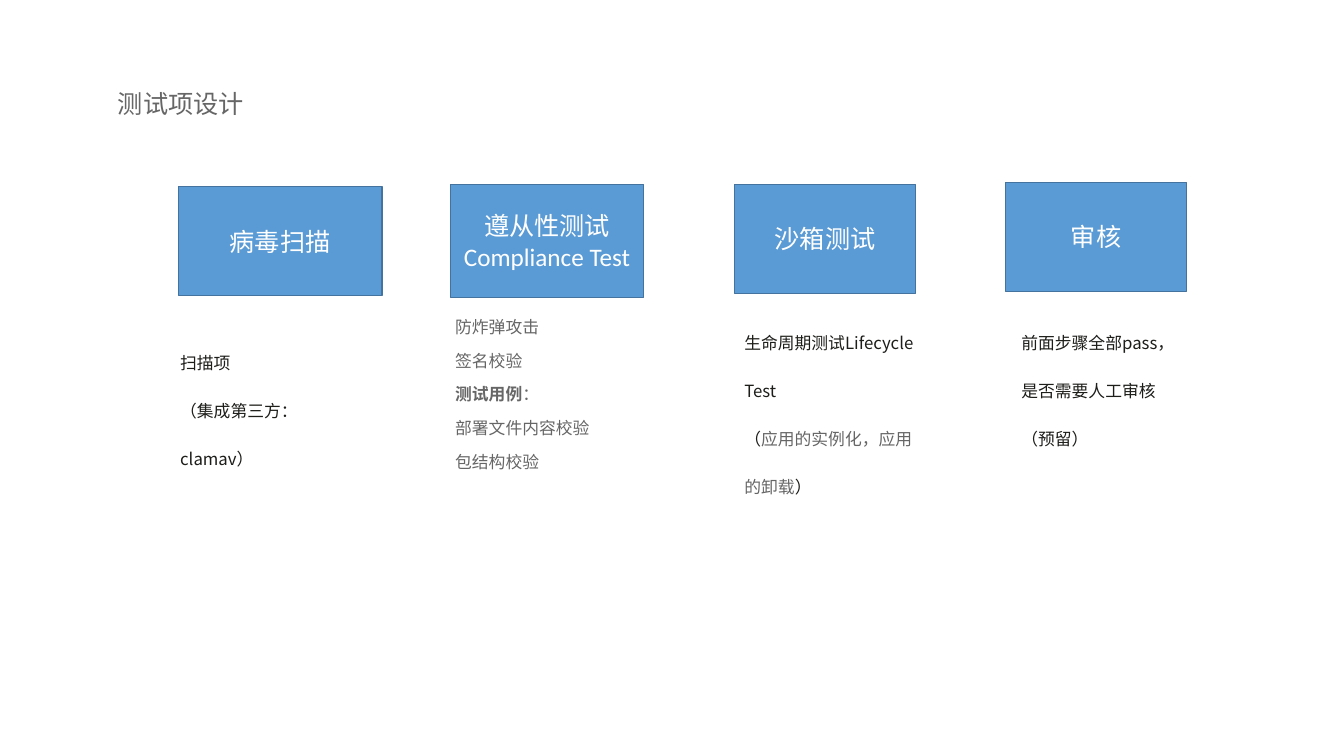
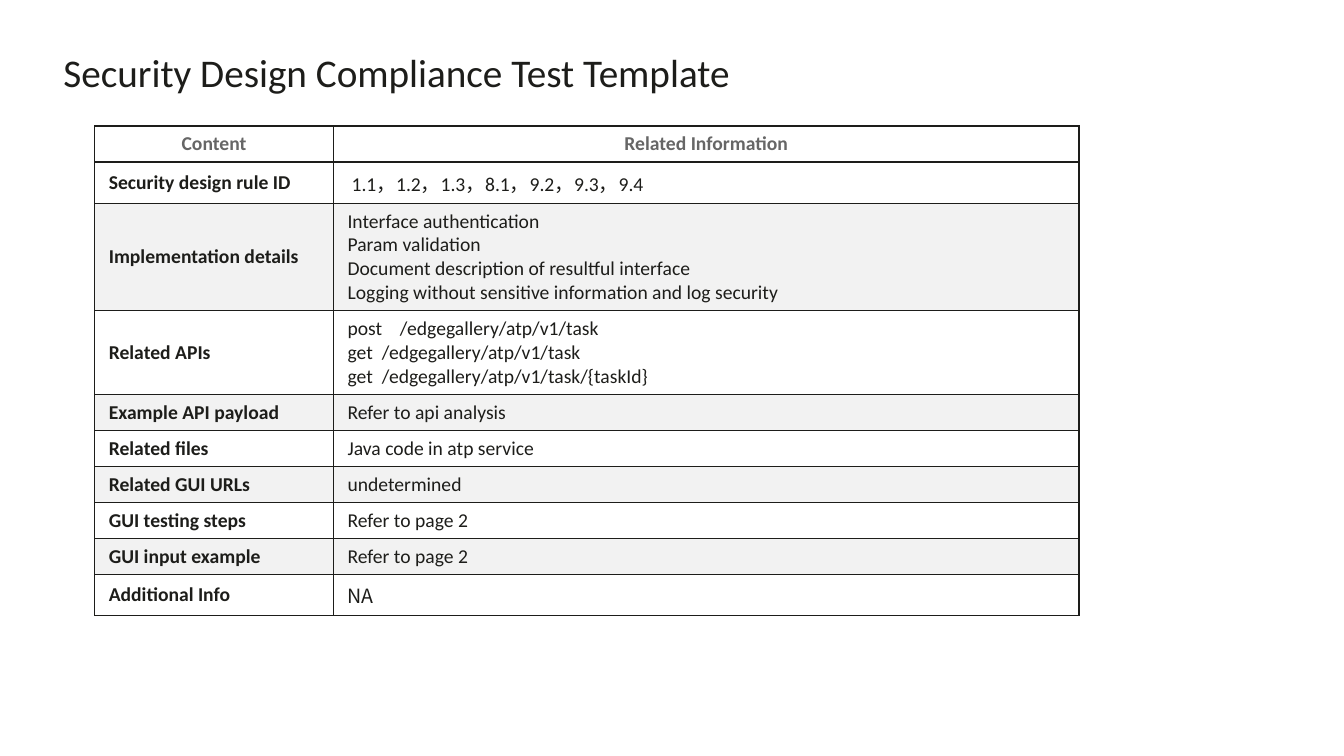
from lxml.etree import SubElement
from pptx import Presentation
from pptx.dml.color import RGBColor
from pptx.enum.shapes import MSO_SHAPE as Shape
from pptx.enum.text import MSO_ANCHOR as Anchor, MSO_AUTO_SIZE as AutoSize, PP_ALIGN as Align
from pptx.oxml.ns import qn
from pptx.util import Inches, Pt

COLORS = {"ink": "1D1D1A", "gray": "666666", "white": "FFFFFF",
          "blue": "5B9BD5", "blue_edge": "43739E", "band": "F2F2F2"}
LATIN, CJK = "Calibri", "Noto Sans CJK SC"
WIDTH, HEIGHT = 13.34, 7.5

# Content: each stage has a box and a list of paragraphs, made of (text, colour, bold) runs
STAGES = [
    {"name": "病毒扫描", "box": (1.77, 1.85, 2.02, 1.08), "detail": (1.69, 3.17, 2.09, 1.53),
     "leading": 34.4, "lines": [[("扫描项", "ink", False)],
                                [("（集成第三方：clamav）", "ink", False)]]},
    {"name": "遵从性测试Compliance Test", "box": (4.47, 1.83, 1.92, 1.12),
     "detail": (4.42, 2.96, 1.97, 1.78), "leading": 24,
     "lines": [[("防炸弹攻击", "gray", False)],
               [("签名校验", "gray", False)],
               [("测试用例", "gray", True), ("：", "gray", False)],
               [("部署文件内容校验", "gray", False)],
               [("包结构校验", "gray", False)]]},
    {"name": "沙箱测试", "box": (7.29, 1.83, 1.8, 1.08), "detail": (7.29, 2.97, 1.92, 2.01),
     "leading": 34.4, "lines": [[("生命周期测试Lifecycle Test", "ink", False)],
                                [("（", "ink", False), ("应用的实例化，应用的卸载", "gray", False),
                                 ("）", "ink", False)]]},
    {"name": "审核", "box": (9.98, 1.81, 1.8, 1.08), "detail": (10.04, 2.97, 1.74, 1.53),
     "leading": 34.4, "lines": [[("前面步骤全部pass，是否需要人工审核（预留）", "ink", False)]]},
]

TEMPLATE_ROWS = [
    ("Content", ["Related Information"]),
    ("Security design rule ID", ["1.1，1.2，1.3，8.1，9.2，9.3，9.4"]),
    ("Implementation details", ["Interface authentication", "Param validation",
                                "Document description of resultful interface",
                                "Logging without sensitive information and log security"]),
    ("Related APIs", [("post", "/edgegallery/atp/v1/task"),
                      ("get", "/edgegallery/atp/v1/task"),
                      ("get", "/edgegallery/atp/v1/task/{taskId}")]),
    ("Example API payload", ["Refer to api analysis"]),
    ("Related files", ["Java code in atp service"]),
    ("Related GUI URLs", ["undetermined"]),
    ("GUI testing steps", ["Refer to page 2"]),
    ("GUI input example", ["Refer to page 2"]),
    ("Additional Info", ["NA"]),
]
TABLE_AT, COLUMNS = (0.94, 1.25), (2.37, 7.4)
LINE_HEIGHT, ROW_PADDING, TALL_ROW = 0.237, 0.12, 0.41
TALL_ROWS = ("Security design rule ID", "Additional Info")
API_TABS = {"post": 0.52, "get": 0.34}


def rgb(name):
    return RGBColor.from_string(COLORS[name])


def inches(values):
    return [Inches(value) for value in values]


def add_run(paragraph, text, color, size, face=LATIN, bold=False):
    run = paragraph.add_run()
    run.text = text
    for key, value in {"name": face, "size": Pt(size), "bold": bold}.items():
        setattr(run.font, key, value)
    run.font.color.rgb = rgb(color)
    SubElement(run.font._element, qn("a:ea"), typeface=CJK)


def paragraphs(frame, count):
    return [frame.paragraphs[0]] + [frame.add_paragraph() for _ in range(count - 1)]


def add_titled_slide(deck, text, at, color, size, face, leading, anchor):
    slide = deck.slides.add_slide(deck.slide_layouts[5])
    title = slide.shapes.title
    title.left, title.top, title.width, title.height = inches(at)
    frame = title.text_frame
    for key, value in {"word_wrap": True, "auto_size": AutoSize.NONE,
                       "vertical_anchor": anchor}.items():
        setattr(frame, key, value)
    heading = frame.paragraphs[0]
    heading.alignment, heading.line_spacing = Align.LEFT, leading
    add_run(heading, text, color, size, face)
    return slide


def add_stage(slide, stage):
    # Named box
    box = slide.shapes.add_shape(Shape.RECTANGLE, *inches(stage["box"]))
    box.shadow.inherit = False
    box.fill.solid()
    box.fill.fore_color.rgb = rgb("blue")
    box.line.color.rgb = rgb("blue_edge")
    box.line.width = Pt(1)
    box.text_frame.word_wrap = True
    box.text_frame.vertical_anchor = Anchor.MIDDLE
    name = box.text_frame.paragraphs[0]
    name.alignment = Align.CENTER
    add_run(name, stage["name"], "white", 18)

    # Details below it
    frame = slide.shapes.add_textbox(*inches(stage["detail"])).text_frame
    frame.word_wrap = True
    for line, runs in zip(paragraphs(frame, len(stage["lines"])), stage["lines"]):
        line.line_spacing = Pt(stage["leading"])
        for text, color, bold in runs:
            add_run(line, text, color, 12, CJK, bold)


def style_cell(cell, fill):
    for side in ("L", "R", "T", "B"):
        border = SubElement(cell._tc.get_or_add_tcPr(), qn(f"a:ln{side}"), w=str(Pt(1)))
        SubElement(SubElement(border, qn("a:solidFill")), qn("a:srgbClr"), val=COLORS["ink"])
    cell.fill.solid()
    cell.fill.fore_color.rgb = rgb(fill)
    cell.vertical_anchor = Anchor.MIDDLE
    for edge, inset in {"left": 0.14, "right": 0.14, "top": 0.06, "bottom": 0.06}.items():
        setattr(cell, f"margin_{edge}", Inches(inset))


def set_tab(paragraph, position):
    stops = SubElement(paragraph._p.get_or_add_pPr(), qn("a:tabLst"))
    SubElement(stops, qn("a:tab"), pos=str(Inches(position)), algn="l")


def add_template_table(slide):
    heights = [TALL_ROW if label in TALL_ROWS else len(lines) * LINE_HEIGHT + ROW_PADDING
               for label, lines in TEMPLATE_ROWS]
    table = slide.shapes.add_table(len(heights), len(COLUMNS), *inches(TABLE_AT),
                                   *inches((sum(COLUMNS), sum(heights)))).table
    table.first_row = table.horz_banding = False
    for column, width in zip(table.columns, COLUMNS):
        column.width = Inches(width)
    for index, (label, lines) in enumerate(TEMPLATE_ROWS):
        table.rows[index].height = Inches(heights[index])
        header = index == 0
        fill = "band" if index and index % 2 == 0 else "white"
        for col, texts in enumerate(([label], lines)):
            cell = table.cell(index, col)
            style_cell(cell, fill)
            if col and label == "Security design rule ID":
                cell.margin_left = Inches(0.18)
            face = CJK if texts == ["NA"] else LATIN
            for line, text in zip(paragraphs(cell.text_frame, len(texts)), texts):
                line.alignment = Align.CENTER if header else Align.LEFT
                if isinstance(text, tuple):
                    set_tab(line, API_TABS[text[0]])
                    text = "\t".join(text)
                add_run(line, text, "gray" if header else "ink", 14, face, header or col == 0)


def main():
    deck = Presentation()
    deck.slide_width, deck.slide_height = inches((WIDTH, HEIGHT))

    # Test stages
    stages = add_titled_slide(deck, "测试项设计", (1.07, 0.65, 9.81, 0.52),
                              "gray", 18, CJK, Pt(34.4), Anchor.TOP)
    for stage in STAGES:
        add_stage(stages, stage)

    # Compliance template
    template = add_titled_slide(deck, "Security Design Compliance Test Template",
                                (0.53, 0.42, 10.39, 0.64), "ink", 28, LATIN, 0.9, Anchor.MIDDLE)
    add_template_table(template)
    deck.save("out.pptx")


if __name__ == "__main__":
    main()
